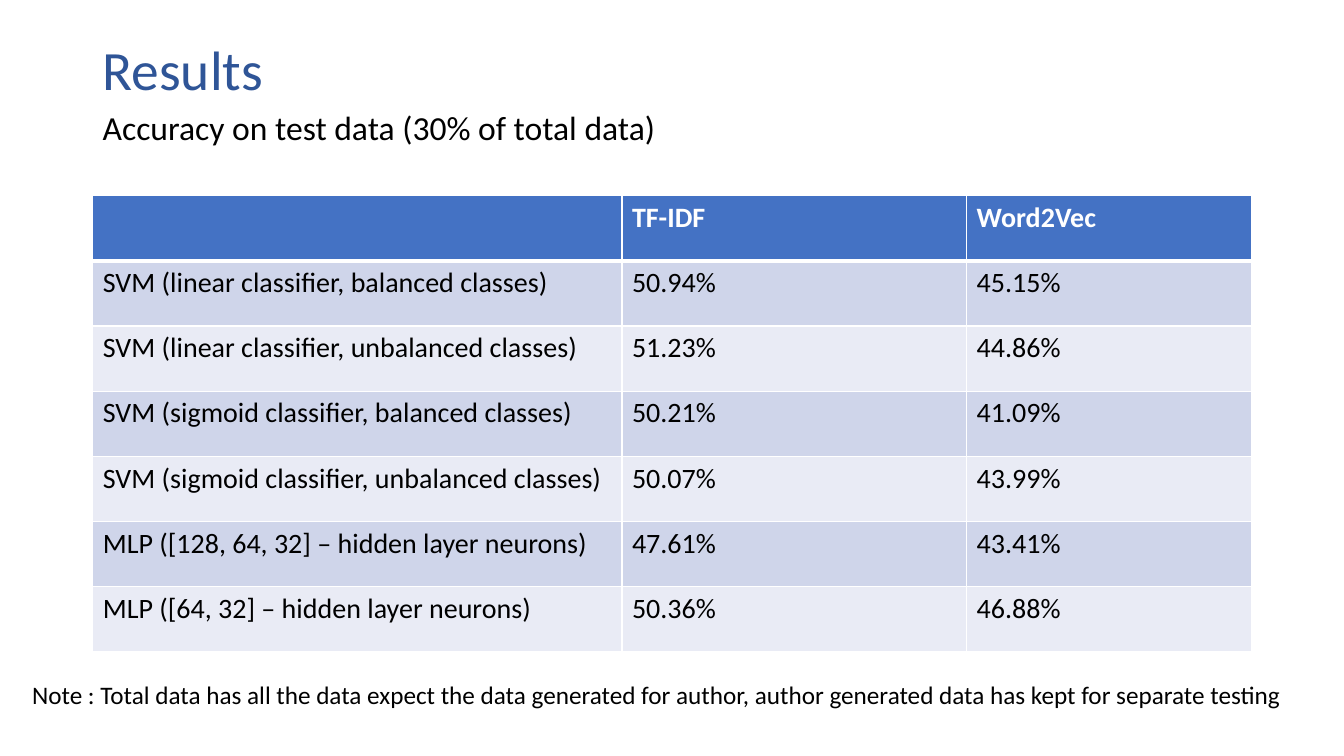
from dataclasses import dataclass

from lxml.etree import SubElement
from pptx import Presentation
from pptx.dml.color import RGBColor
from pptx.enum.text import MSO_ANCHOR, MSO_AUTO_SIZE
from pptx.oxml.ns import qn
from pptx.slide import Slide
from pptx.table import _Cell
from pptx.text.text import TextFrame
from pptx.util import Pt

FONT = "Calibri"
COLORS = {
    "title": "2F5597",
    "text": "000000",
    "white": "FFFFFF",
    "header": "4472C4",
    "band_dark": "CFD5EA",
    "band_light": "E9EBF5",
}


@dataclass
class Label:
    text: str
    left: float
    top: float
    width: float
    height: float
    size: float
    color: str = "text"
    wrap: bool = True
    anchor: MSO_ANCHOR = MSO_ANCHOR.TOP
    line_spacing: float = 1.0
    auto_size: MSO_AUTO_SIZE = MSO_AUTO_SIZE.SHAPE_TO_FIT_TEXT


LABELS = [
    Label("Results", 66.24, 28.8, 828, 45.36, 39.6, "title",
          anchor=MSO_ANCHOR.MIDDLE, line_spacing=0.9, auto_size=MSO_AUTO_SIZE.NONE),
    Label("Accuracy on test data (30% of total data)", 66.24, 72.72, 505.44, 36, 24),
    Label("Note : Total data has all the data expect the data generated for author, "
          "author generated data has kept for separate testing",
          15.84, 481.68, 908.64, 28.8, 18, wrap=False),
]

RESULTS = [
    ("", "TF-IDF", "Word2Vec"),
    ("SVM (linear classifier, balanced classes)", "50.94%", "45.15%"),
    ("SVM (linear classifier, unbalanced classes)", "51.23%", "44.86%"),
    ("SVM (sigmoid classifier, balanced classes)", "50.21%", "41.09%"),
    ("SVM (sigmoid classifier, unbalanced classes)", "50.07%", "43.99%"),
    ("MLP ([128, 64, 32] – hidden layer neurons)", "47.61%", "43.41%"),
    ("MLP ([64, 32] – hidden layer neurons)", "50.36%", "46.88%"),
]
COLUMN_WIDTHS = (378, 246.24, 203.76)
ROW_HEIGHT = 46.6


def rgb(name: str) -> RGBColor:
    return RGBColor.from_string(COLORS[name])


def style_runs(tf: TextFrame, size: float, color: str, bold: bool = False) -> None:
    for p in tf.paragraphs:
        for r in p.runs:
            r.font.name = FONT
            r.font.size = Pt(size)
            r.font.bold = bold
            r.font.color.rgb = rgb(color)


def add_label(s: Slide, label: Label) -> None:
    sp = s.shapes.add_textbox(Pt(label.left), Pt(label.top), Pt(label.width), Pt(label.height))
    tf = sp.text_frame
    tf.text = label.text
    tf.word_wrap = label.wrap
    tf.auto_size = label.auto_size
    tf.vertical_anchor = label.anchor
    tf.paragraphs[0].line_spacing = label.line_spacing
    style_runs(tf, label.size, label.color)


def set_borders(cell: _Cell, top: float, bottom: float) -> None:
    """Draw white borders; the sides are 1 pt wide. Call before setting the fill."""
    tc_pr = cell._tc.get_or_add_tcPr()
    for tag, width in (("lnL", 1), ("lnR", 1), ("lnT", top), ("lnB", bottom)):
        ln = SubElement(tc_pr, qn(f"a:{tag}"), w=str(Pt(width)))
        fill = SubElement(ln, qn("a:solidFill"))
        SubElement(fill, qn("a:srgbClr"), val=COLORS["white"])


def add_results_table(s: Slide, left: float, top: float) -> None:
    n_rows, n_cols = len(RESULTS), len(COLUMN_WIDTHS)
    table = s.shapes.add_table(n_rows, n_cols, Pt(left), Pt(top), Pt(sum(COLUMN_WIDTHS)),
                               Pt(ROW_HEIGHT * n_rows)).table
    for column, width in zip(table.columns, COLUMN_WIDTHS):
        column.width = Pt(width)
    for i, values in enumerate(RESULTS):
        table.rows[i].height = Pt(ROW_HEIGHT)
        is_header = i == 0
        band = "header" if is_header else "band_dark" if i % 2 else "band_light"
        for j, value in enumerate(values):
            cell = table.cell(i, j)
            set_borders(cell, top=3 if i == 1 else 1, bottom=3 if is_header else 1)
            cell.fill.solid()
            cell.fill.fore_color.rgb = rgb(band)
            cell.text_frame.text = value
            style_runs(cell.text_frame, 20, "white" if is_header else "text", is_header)


def main() -> None:
    prs = Presentation()
    prs.slide_width, prs.slide_height = Pt(960), Pt(540)
    s = prs.slides.add_slide(prs.slide_layouts[6])
    add_results_table(s, 66.24, 139.68)
    for label in LABELS:
        add_label(s, label)
    prs.save("out.pptx")


if __name__ == "__main__":
    main()
